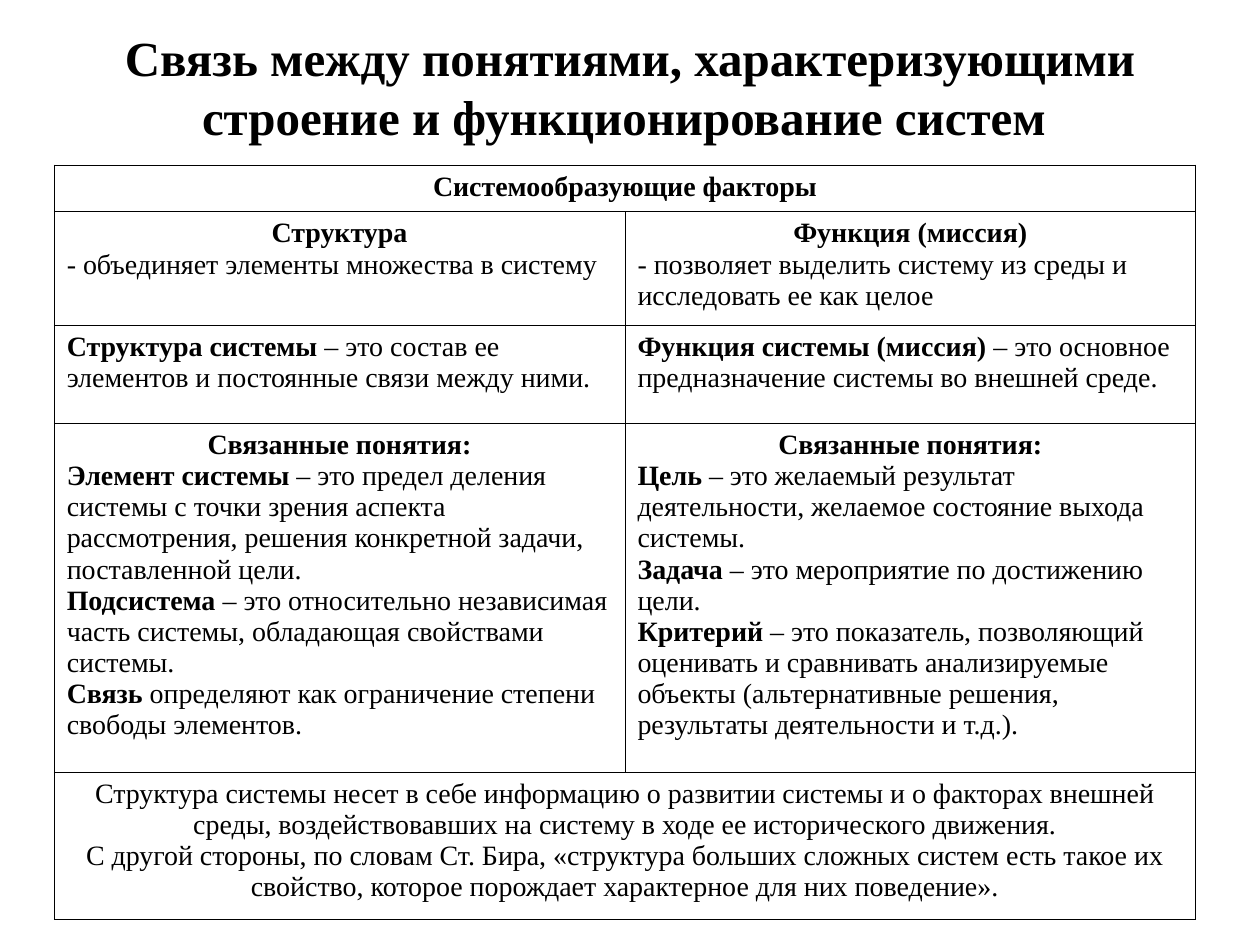
from dataclasses import dataclass

from lxml import etree
from pptx import Presentation
from pptx import util as u
from pptx.dml import color
from pptx.enum import text
from pptx.oxml import ns

HUES = {"ink": "000000", "page": "FFFFFF"}
FACE = "Times New Roman"
COLS = [4.53, 4.53]
ROWS = [0.37, 0.9, 0.78, 2.77, 1.17]


@dataclass
class Line:
    bold: str = ""
    plain: str = ""
    mid: bool = False


@dataclass
class Box:
    row: int
    col: int
    lines: list[Line]
    wide: bool = False


LINKED = Line("Связанные понятия:", mid=True)
BOXES = [
    Box(0, 0, [Line("Системообразующие факторы", mid=True)], True),
    Box(1, 0, [
        Line("Структура", mid=True),
        Line(plain="- объединяет элементы множества в систему"),
    ]),
    Box(1, 1, [
        Line("Функция (миссия)", mid=True),
        Line(plain="- позволяет выделить систему из среды и исследовать ее как целое"),
    ]),
    Box(2, 0, [
        Line("Структура системы", " – это состав ее элементов и постоянные связи между ними."),
    ]),
    Box(2, 1, [
        Line("Функция системы (миссия)",
             " – это основное предназначение системы во внешней среде."),
    ]),
    Box(3, 0, [
        LINKED,
        Line("Элемент системы",
             " – это предел деления системы с точки зрения аспекта рассмотрения, "
             "решения конкретной задачи, поставленной цели."),
        Line("Подсистема",
             " – это относительно независимая часть системы, обладающая свойствами системы."),
        Line("Связь", " определяют как ограничение степени свободы элементов."),
    ]),
    Box(3, 1, [
        LINKED,
        Line("Цель",
             " – это желаемый результат деятельности, желаемое состояние выхода системы."),
        Line("Задача", " – это мероприятие по достижению цели."),
        Line("Критерий",
             " – это показатель, позволяющий оценивать и сравнивать анализируемые объекты "
             "(альтернативные решения, результаты деятельности и т.д.)."),
    ]),
    Box(4, 0, [
        Line(plain="Структура системы несет в себе информацию о развитии системы и о факторах "
                   "внешней среды, воздействовавших на систему в ходе ее исторического движения.",
             mid=True),
        Line(plain="С другой стороны, по словам Ст. Бира, «структура больших сложных систем есть "
                   "такое их свойство, которое порождает характерное для них поведение».",
             mid=True),
    ], True),
]


def style(font, size: int) -> None:
    font.name = FACE
    font.size = u.Pt(size)
    font.color.rgb = color.RGBColor.from_string(HUES["ink"])


def frame(cell) -> None:
    props = cell._tc.get_or_add_tcPr()
    for side in ("lnL", "lnR", "lnT", "lnB"):
        edge = etree.SubElement(props, ns.qn(f"a:{side}"), w=str(u.Pt(0.45)))
        fill = etree.SubElement(edge, ns.qn("a:solidFill"))
        etree.SubElement(fill, ns.qn("a:srgbClr"), val=HUES["ink"])
    cell.fill.solid()
    cell.fill.fore_color.rgb = color.RGBColor.from_string(HUES["page"])


def write(cell, lines: list[Line]) -> None:
    body = cell.text_frame
    for n, line in enumerate(lines):
        para = body.add_paragraph() if n else body.paragraphs[0]
        para.alignment = text.PP_ALIGN.CENTER if line.mid else text.PP_ALIGN.LEFT
        style(para.font, 16)
        for words, bold in ((line.bold, True), (line.plain, False)):
            if words:
                run = para.add_run()
                run.text = words
                run.font.bold = bold


def head(slide) -> None:
    title = slide.shapes.title
    title.left, title.top = u.Inches(0.5), u.Inches(0.3)
    title.width, title.height = u.Inches(9), u.Inches(0.77)
    body = title.text_frame
    body.text = "Связь между понятиями, характеризующими строение и функционирование систем "
    body.word_wrap = True
    body.auto_size = text.MSO_AUTO_SIZE.NONE
    body.vertical_anchor = text.MSO_ANCHOR.MIDDLE
    para = body.paragraphs[0]
    para.alignment = text.PP_ALIGN.CENTER
    style(para.font, 28)
    para.font.bold = True


def grid(slide) -> None:
    table = slide.shapes.add_table(
        len(ROWS), len(COLS), u.Inches(0.43), u.Inches(1.31),
        u.Inches(sum(COLS)), u.Inches(sum(ROWS))).table
    table.first_row = table.horz_banding = False
    for col, width in zip(table.columns, COLS):
        col.width = u.Inches(width)
    for row, height in zip(table.rows, ROWS):
        row.height = u.Inches(height)
    for cell in table.iter_cells():
        frame(cell)
    for box in BOXES:
        cell = table.cell(box.row, box.col)
        if box.wide:
            cell.merge(table.cell(box.row, len(COLS) - 1))
        write(cell, box.lines)


def main() -> None:
    deck = Presentation()
    deck.slide_width, deck.slide_height = u.Inches(10), u.Inches(7.5)
    slide = deck.slides.add_slide(deck.slide_layouts[5])
    head(slide)
    grid(slide)
    deck.save("out.pptx")


if __name__ == "__main__":
    main()
